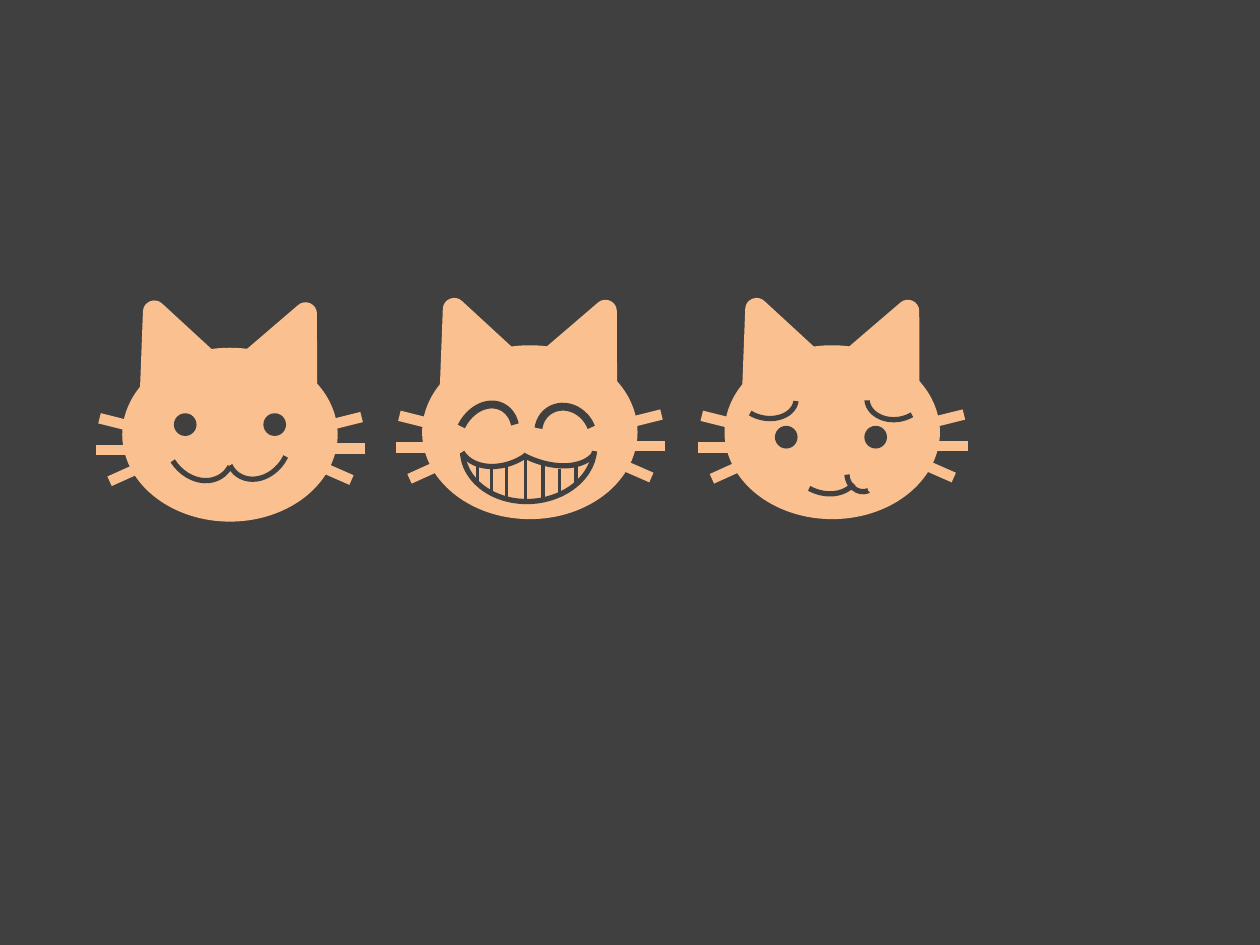
from lxml import etree
from pptx import Presentation
from pptx.dml.color import RGBColor
from pptx.enum import shapes
from pptx.oxml.ns import qn
from pptx.util import Inches, Pt

FUR, DARK = "FAC090", "404040"
SHAPE = shapes.MSO_SHAPE


def paint(fmt, color):
    """Give a fill a solid colour from a hex string."""
    fmt.solid()
    fmt.fore_color.rgb = RGBColor.from_string(color)


def stroke(s, color, width):
    """Give a shape or connector a solid line."""
    paint(s.line.fill, color)
    s.line.width = Pt(width)


def add_shape(grp, kind, box, fill=None, line=None, width=1, rot=0):
    """Add a preset shape without shadow; box is left, top, width, height."""
    s = grp.shapes.add_shape(kind, *map(Inches, box))
    s.shadow.inherit = False
    s.rotation = rot
    if fill:
        paint(s.fill, fill)
    else:
        s.fill.background()
    if line:
        stroke(s, line, width)
    else:
        s.line.fill.background()
    return s


def add_line(grp, x1, y1, x2, y2, color, width):
    """Add a straight line without shadow."""
    c = grp.shapes.add_connector(shapes.MSO_CONNECTOR.STRAIGHT,
                                 *map(Inches, (x1, y1, x2, y2)))
    stroke(c, color, width)
    etree.SubElement(c._element.spPr, qn("a:effectLst"))


def add_arc(grp, box, rot, start, end, flip=False, width=3):
    """Add a dark arc, optionally mirrored left to right."""
    s = add_shape(grp, SHAPE.ARC, box, line=DARK, width=width, rot=rot)
    s.adjustments[0], s.adjustments[1] = start, end
    if flip:
        s._element.spPr.find(qn("a:xfrm")).set("flipH", "1")


def add_head(grp, x, y):
    """Draw the head, ears and whiskers from the head's top left corner."""
    add_shape(grp, SHAPE.OVAL, (x, y, 1.71, 1.38), FUR)
    for dx, dy, rot in ((0.08, -0.31, 337.4), (1.02, -0.3, 24.6)):
        ear = add_shape(grp, SHAPE.ISOSCELES_TRIANGLE, (x + dx, y + dy, 0.6, 0.65),
                        FUR, FUR, 13, rot)
        etree.SubElement(ear.line._get_or_add_ln(), qn("a:round"))
    for x1, y1, x2, y2 in ((-0.18, 0.56, 0.14, 0.64), (-0.21, 0.81, 0.11, 0.81),
                           (-0.1, 1.06, 0.21, 0.92), (1.9, 0.55, 1.58, 0.63),
                           (1.93, 0.8, 1.61, 0.8), (1.82, 1.05, 1.5, 0.91)):
        add_line(grp, x + x1, y + y1, x + x2, y + y2, FUR, 6)


def add_eyes(grp, x, y):
    """Draw two round eyes; x, y is the corner of the left one."""
    for dx in (0, 0.71):
        add_shape(grp, SHAPE.OVAL, (x + dx, y, 0.18, 0.18), DARK)


def smiling_face(grp, x, y):
    """Draw round eyes and a smile."""
    add_eyes(grp, x + 0.41, y + 0.52)
    add_arc(grp, (x + 0.36, y + 0.45, 0.51, 0.62), 147.3, 149.97, 0)
    add_arc(grp, (x + 0.85, y + 0.5, 0.46, 0.56), 215.6, 149.97, 8.832, True)


def grinning_face(grp, x, y):
    """Draw closed eyes and a toothy grin."""
    add_arc(grp, (x + 0.27, y + 0.4, 0.74, 0.54), 153.7, 152.123, 214.404)
    add_arc(grp, (x + 0.56, y + 0.43, 0.85, 0.5), 200.2, 147.745, 213.266, True)
    add_arc(grp, (x + 0.93, y + 0.48, 0.42, 0.47), 324.8, 137.808, 10.799, width=4.5)
    add_arc(grp, (x + 0.29, y + 0.46, 0.44, 0.56), 26.1, 139.355, 0.393, True, 4.5)
    add_arc(grp, (x + 0.32, y + 0.4, 1.05, 0.84), 176.3, 111.571, 0)
    for dx, top, bottom in ((0.44, 0.94, 1.09), (0.55, 0.95, 1.18), (0.67, 0.94, 1.22),
                            (0.82, 0.89, 1.22), (0.96, 0.93, 1.21), (1.09, 0.98, 1.18),
                            (1.22, 0.95, 1.09)):
        add_line(grp, x + dx, y + top, x + dx, y + bottom, DARK, 2)


def worried_face(grp, x, y):
    """Draw round eyes, sagging brows and a crooked mouth."""
    add_eyes(grp, x + 0.4, y + 0.64)
    add_arc(grp, (x + 0.11, y + 0.24, 0.46, 0.34), 189, 139.355, 0.393, True)
    add_arc(grp, (x + 1.13, y + 0.24, 0.45, 0.35), 173.6, 139.355, 0.393)
    add_arc(grp, (x + 0.47, y + 0.66, 0.62, 0.5), 213.3, 166.596, 213.266, True)
    add_arc(grp, (x + 0.96, y + 0.92, 0.26, 0.23), 247.4, 146.164, 0.129, True)


def add_cat(slide, x, y, face):
    """Draw one grouped cat with its face; x, y is the head's corner."""
    grp = slide.shapes.add_group_shape()
    add_head(grp, x, y)
    face(grp, x, y)


prs = Presentation()
prs.slide_width, prs.slide_height = Inches(10), Inches(7.5)
slide = prs.slides.add_slide(prs.slide_layouts[6])
paint(slide.background.fill, DARK)
for x, y, face in ((0.97, 2.76, smiling_face), (3.35, 2.74, grinning_face),
                   (5.75, 2.74, worried_face)):
    add_cat(slide, x, y, face)
prs.save("out.pptx")
